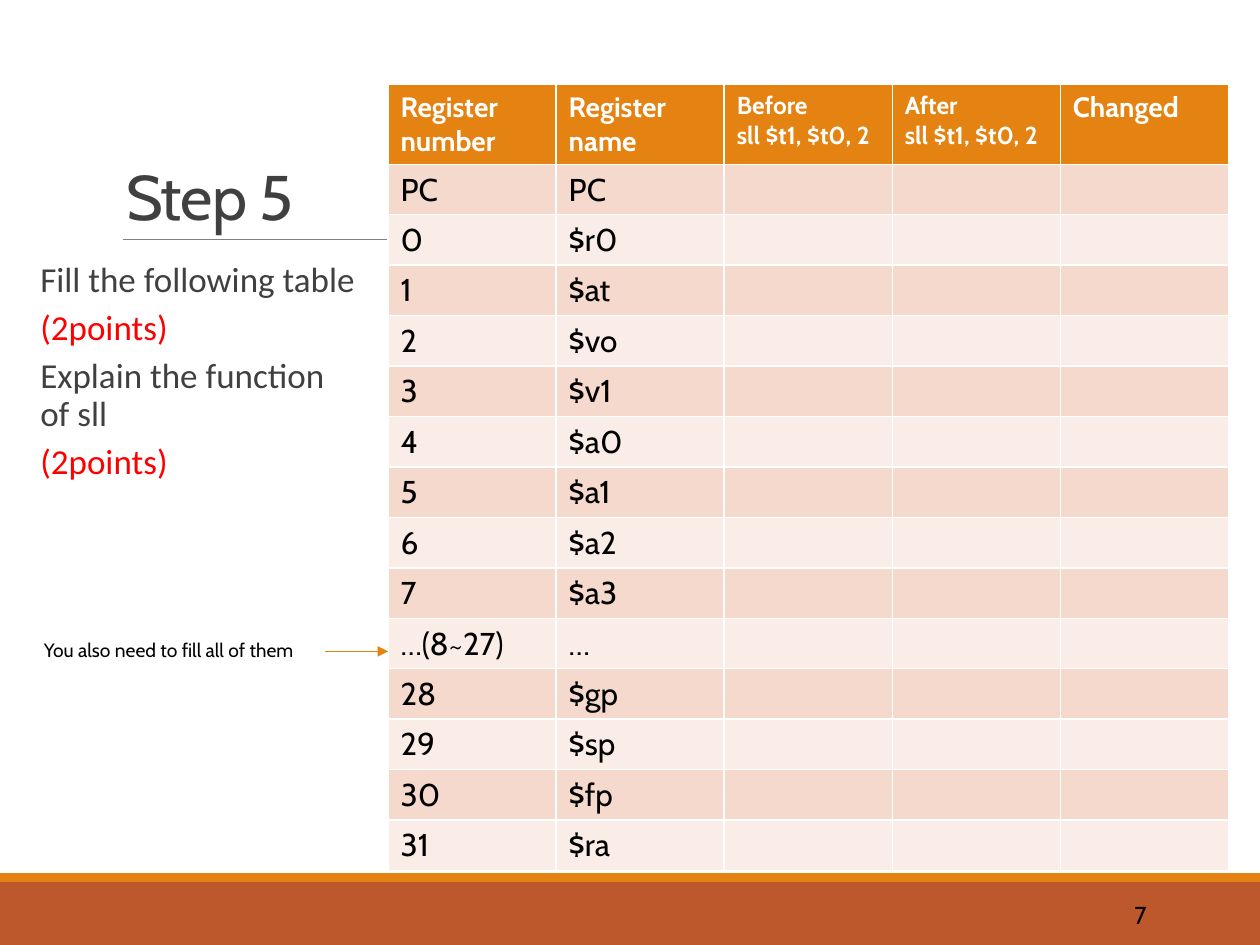
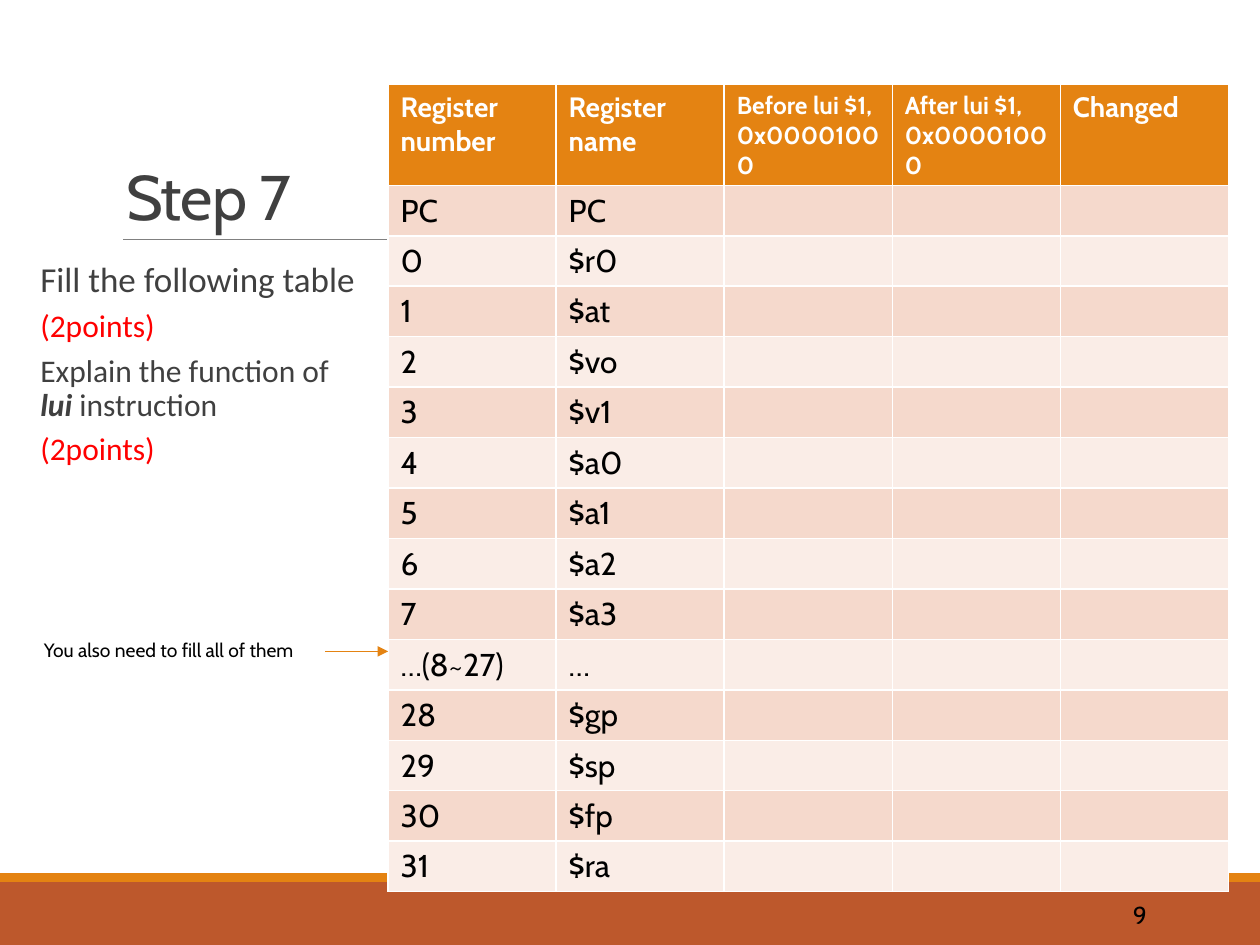
"""Build two register-table exercise slides that share one design."""
from dataclasses import dataclass

from lxml.etree import SubElement
from pptx import Presentation
from pptx.dml.color import RGBColor
from pptx.enum.shapes import MSO_CONNECTOR as Connector, MSO_SHAPE as Shape
from pptx.enum.text import MSO_ANCHOR as Anchor, PP_ALIGN as Align
from pptx.oxml.ns import qn
from pptx.util import Inches, Pt

COLORS = {
    "band": "BD582C",
    "accent": "E48312",
    "rule": "808080",
    "heading": "404040",
    "points": "FF0000",
    "text": "000000",
    "white": "FFFFFF",
    "row_dark": "F5D9CC",
    "row_light": "FAEDE7",
}
FONT = "Cabin"
BODY_FONT = "Calibri"
TITLE_ONLY = 5
COLUMN_WIDTH = 6.67 / 5
ROW_HEIGHT = 0.4
ARROW_Y = 5.17
TABLE_LEFT, TABLE_TOP = 3.08, 0.67
REGISTERS = (
    ("PC", "PC"), ("0", "$r0"), ("1", "$at"), ("2", "$vo"), ("3", "$v1"),
    ("4", "$a0"), ("5", "$a1"), ("6", "$a2"), ("7", "$a3"), ("…(8~27)", "…"),
    ("28", "$gp"), ("29", "$sp"), ("30", "$fp"), ("31", "$ra"),
)


@dataclass(frozen=True)
class Band:
    top: float
    height: float
    color: str


@dataclass(frozen=True)
class Task:
    text: str
    size: int = 20
    color: str = "heading"
    keyword: str = ""
    ending: str = ""


@dataclass(frozen=True)
class Step:
    title: str
    page: str
    before: str
    after: str
    tasks: tuple[Task, ...]


BANDS = (Band(7, 0.5, "band"), Band(6.93, 0.07, "accent"))
STEPS = (
    Step("Step 5", "7", "Before\nsll $t1, $t0, 2", "After\nsll $t1, $t0, 2", (
        Task("Fill the following table"),
        Task("(2points)", color="points"),
        Task("Explain the function of sll"),
        Task("(2points)", color="points"),
    )),
    Step("Step 7", "9", "Before lui $1, 0x00001000", "After lui $1, 0x00001000", (
        Task("Fill the following table"),
        Task("(2points)", 18, "points"),
        Task("Explain the function of ", 18, keyword="lui ", ending="instruction"),
        Task("(2points)", 18, "points"),
    )),
)


def rgb(name: str) -> RGBColor:
    return RGBColor.from_string(COLORS[name])


def style(paragraph, size: int, color: str, font: str = FONT, bold: bool = False) -> None:
    paragraph.font.name = font
    paragraph.font.size = Pt(size)
    paragraph.font.bold = bold
    paragraph.font.color.rgb = rgb(color)


def add_line(slide, start: tuple[float, float], end: tuple[float, float],
             color: str, width: float):
    points = [Inches(value) for value in (*start, *end)]
    line = slide.shapes.add_connector(Connector.STRAIGHT, *points)
    line.line.color.rgb = rgb(color)
    line.line.width = Pt(width)
    SubElement(line._element.spPr, qn("a:effectLst"))
    return line


def add_text_box(slide, left: float, top: float, width: float, height: float):
    box = slide.shapes.add_textbox(
        Inches(left), Inches(top), Inches(width), Inches(height))
    box.text_frame.word_wrap = True
    return box


def add_bands(slide) -> None:
    for band in BANDS:
        shape = slide.shapes.add_shape(
            Shape.RECTANGLE, 0, Inches(band.top), Inches(10), Inches(band.height))
        shape.shadow.inherit = False
        shape.fill.solid()
        shape.fill.fore_color.rgb = rgb(band.color)
        shape.line.fill.background()


def set_title(slide, text: str) -> None:
    title = slide.shapes.title
    title.left, title.top = Inches(0.9), Inches(0.31)
    title.width, title.height = Inches(8.25), Inches(1.59)
    title.text_frame.text = text
    title.text_frame.vertical_anchor = Anchor.BOTTOM
    paragraph = title.text_frame.paragraphs[0]
    paragraph.alignment = Align.LEFT
    paragraph.line_spacing = 0.85
    style(paragraph, 36, "heading")
    paragraph._p.get_or_add_pPr().get_or_add_defRPr().set("spc", "-50")


def add_tasks(slide, tasks: tuple[Task, ...]) -> None:
    frame = add_text_box(slide, 0, 2.03, 2.83, 4.83).text_frame
    frame.margin_left, frame.margin_right = Inches(0.32), 0
    for index, task in enumerate(tasks):
        paragraph = frame.add_paragraph() if index else frame.paragraphs[0]
        style(paragraph, task.size, task.color, BODY_FONT)
        paragraph.line_spacing = 0.9
        paragraph.space_before, paragraph.space_after = Pt(2), Pt(4)
        paragraph.add_run().text = task.text
        if task.keyword:
            keyword = paragraph.add_run()
            keyword.text = task.keyword
            keyword.font.bold = keyword.font.italic = True
            paragraph.add_run().text = task.ending


def fill_cell(cell, text: str, size: int, color: str, fill: str, bold: bool) -> None:
    cell.fill.solid()
    cell.fill.fore_color.rgb = rgb(fill)
    cell.text = text
    for paragraph in cell.text_frame.paragraphs:
        style(paragraph, size, color, bold=bold)


def add_register_table(slide, step: Step) -> None:
    headers = ("Register number", "Register name", step.before, step.after, "Changed")
    row_count = len(REGISTERS) + 1
    table = slide.shapes.add_table(
        row_count, len(headers), Inches(TABLE_LEFT), Inches(TABLE_TOP),
        Inches(COLUMN_WIDTH * len(headers)), Inches(ROW_HEIGHT * row_count)).table
    for column, header in enumerate(headers):
        size = 14 if header in (step.before, step.after) else 16
        fill_cell(table.cell(0, column), header, size, "white", "accent", True)
    for row, register in enumerate(REGISTERS, start=1):
        fill = "row_dark" if row % 2 else "row_light"
        for column, text in enumerate((*register, "", "", "")):
            fill_cell(table.cell(row, column), text, 18, "text", fill, False)


def add_reminder(slide) -> None:
    label = add_text_box(slide, 0.25, ARROW_Y - 0.15, 2.33, 0.3)
    label.text_frame.text = "You also need to fill all of them"
    style(label.text_frame.paragraphs[0], 11, "text")
    arrow = add_line(slide, (2.58, ARROW_Y), (TABLE_LEFT, ARROW_Y), "accent", 1)
    arrow.begin_connect(label, 3)
    SubElement(arrow.line._get_or_add_ln(), qn("a:tailEnd"), type="triangle")


def add_page_number(slide, page: str) -> None:
    frame = add_text_box(slide, 8.12, 7.06, 1.08, 0.4).text_frame
    frame.text = page
    frame.vertical_anchor = Anchor.MIDDLE
    frame.paragraphs[0].alignment = Align.RIGHT
    style(frame.paragraphs[0], 14, "text")


def add_step(presentation, step: Step) -> None:
    slide = presentation.slides.add_slide(presentation.slide_layouts[TITLE_ONLY])
    add_bands(slide)
    add_line(slide, (0.98, 1.9), (9.15, 1.9), "rule", 0.5)
    set_title(slide, step.title)
    add_tasks(slide, step.tasks)
    add_page_number(slide, step.page)
    add_register_table(slide, step)
    add_reminder(slide)


def main() -> None:
    presentation = Presentation()
    presentation.slide_width, presentation.slide_height = Inches(10), Inches(7.5)
    for step in STEPS:
        add_step(presentation, step)
    presentation.save("out.pptx")


if __name__ == "__main__":
    main()
